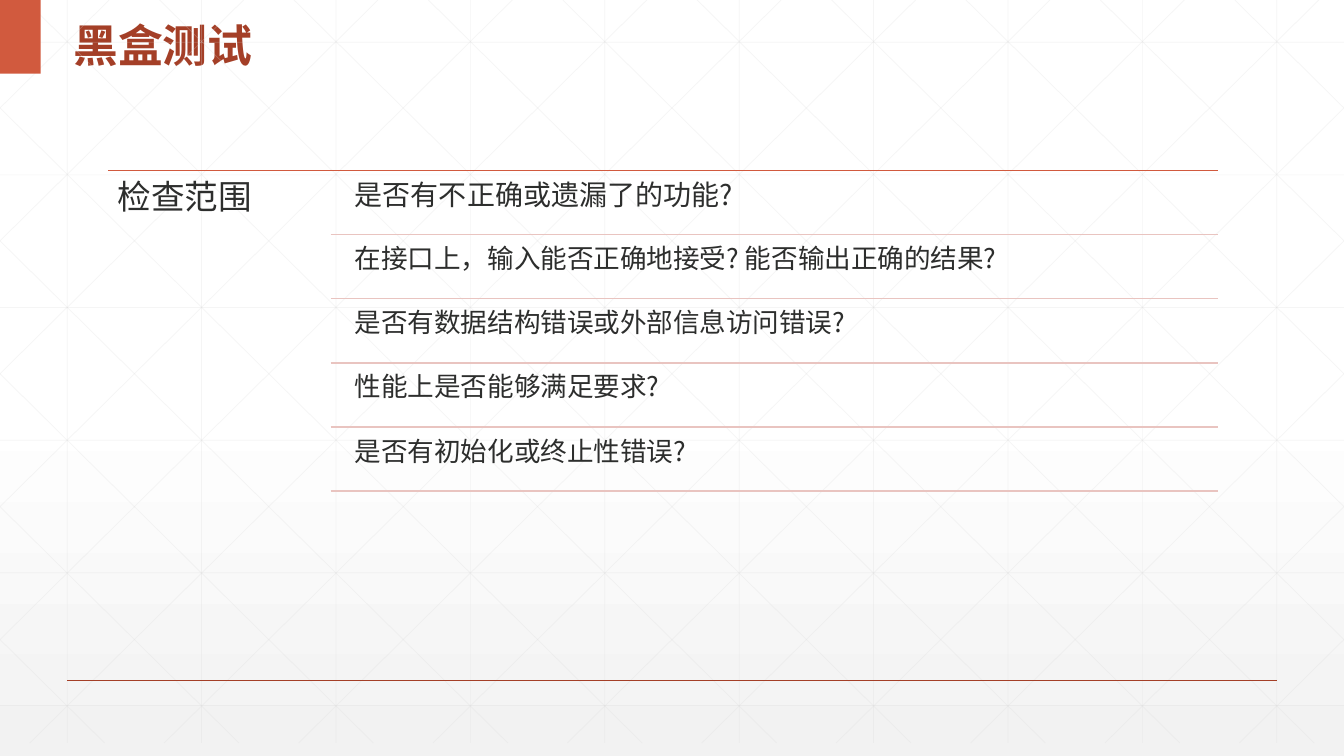
from copy import deepcopy
from dataclasses import dataclass

from lxml.etree import SubElement
from pptx import Presentation
from pptx.dml.color import RGBColor
from pptx.enum.shapes import MSO_CONNECTOR, MSO_SHAPE
from pptx.enum.text import MSO_ANCHOR, MSO_AUTO_SIZE, PP_ALIGN
from pptx.oxml.ns import qn
from pptx.slide import Slide
from pptx.text.text import TextFrame
from pptx.util import Pt


@dataclass(frozen=True)
class Theme:
    accent: str = "D15A3E"
    accent_dark: str = "A43F27"
    row_rule: str = "E9C4C0"
    grid: str = "D9D9D9"
    text: str = "2D2E2D"
    background: tuple = ((0, "FFFFFF"), (0.53, "FFFFFF"), (1, "F2F2F2"))
    latin_font: str = "Arial"
    asian_font: str = "Noto Sans CJK SC"
    title_size: float = 32
    heading_size: float = 24
    first_row_size: float = 20
    row_size: float = 19


@dataclass(frozen=True)
class Line:
    x1: float
    y1: float
    x2: float
    y2: float
    color: str
    width: float = 1
    opacity: int = 100


@dataclass(frozen=True)
class Label:
    text: str
    left: float
    top: float
    width: float
    height: float
    size: float
    font: str
    inset: float


THEME = Theme()
PAGE_WIDTH, PAGE_HEIGHT = 960, 540

# Background pattern
GRID_HEIGHT = 530.7
COLUMN_STEP, ROW_STEP = 96, 94.75
DIAGONAL_RUN = 536.7

# Checklist
LIST_LEFT, LIST_RIGHT, LIST_TOP = 77, 869.8, 121.7
RULE_LEFT, ROW_LEFT = 236.2, 247.7
FIRST_ROW_TOP, ROW_PITCH, RULE_OFFSET = 123.9, 45.8, 43.7
QUESTIONS = (
    "是否有不正确或遗漏了的功能?",
    "在接口上，输入能否正确地接受? 能否输出正确的结果?",
    "是否有数据结构错误或外部信息访问错误?",
    "性能上是否能够满足要求?",
    "是否有初始化或终止性错误?",
)


def paint_background(page: Slide) -> None:
    fill = page.background.fill
    fill.gradient()
    fill.gradient_angle = 270
    stop_list = page.element.xpath(".//a:gsLst")[0]
    stop_list.append(deepcopy(stop_list[0]))
    for stop, (position, color) in zip(fill.gradient_stops, THEME.background):
        stop.position = position
        stop.color.rgb = RGBColor.from_string(color)


def draw_line(page: Slide, line: Line) -> None:
    ends = (Pt(value) for value in (line.x1, line.y1, line.x2, line.y2))
    connector = page.shapes.add_connector(MSO_CONNECTOR.STRAIGHT, *ends)
    connector.line.width = Pt(line.width)
    connector.line.color.rgb = RGBColor.from_string(line.color)
    properties = connector.element.spPr
    if line.opacity < 100:
        color = properties.find(".//" + qn("a:srgbClr"))
        SubElement(color, qn("a:alpha"), val=str(line.opacity * 1000))
    SubElement(properties, qn("a:effectLst"))


def grid_lines() -> list[Line]:
    ends = []
    for column in range(10):
        x = 48 + column * COLUMN_STEP
        ends.append((x, 0, x, GRID_HEIGHT))
    for row in range(6):
        y = 30.2 + row * ROW_STEP
        ends.append((0, y, PAGE_WIDTH, y))
    # Diagonals are cut at the page sides, then mirrored
    slope = GRID_HEIGHT / DIAGONAL_RUN
    for step in range(-5, 10):
        start = 18 + step * COLUMN_STEP
        x1 = max(start, 0)
        x2 = min(start + DIAGONAL_RUN, PAGE_WIDTH)
        y1, y2 = (x1 - start) * slope, (x2 - start) * slope
        ends.append((x1, y1, x2, y2))
        ends.append((PAGE_WIDTH - x1, y1, PAGE_WIDTH - x2, y2))
    return [Line(*end, THEME.grid, 0.5, 25) for end in ends]


def write_text(frame: TextFrame, text: str, frame_format: dict,
               para_format: dict, font_format: dict, color: str) -> None:
    para = frame.paragraphs[0]
    span = para.add_run()
    span.text = text
    for target, values in ((frame, frame_format), (para, para_format),
                           (span.font, font_format)):
        for name, value in values.items():
            setattr(target, name, value)
    span.font.color.rgb = RGBColor.from_string(color)
    SubElement(span.font._element, qn("a:ea"), typeface=THEME.asian_font)


def draw_label(page: Slide, label: Label) -> None:
    box = page.shapes.add_textbox(Pt(label.left), Pt(label.top),
                                  Pt(label.width), Pt(label.height))
    sides = ("left", "top", "right", "bottom")
    frame_format = {f"margin_{side}": Pt(label.inset) for side in sides}
    frame_format |= {"word_wrap": True, "vertical_anchor": MSO_ANCHOR.TOP}
    write_text(box.text_frame, label.text, frame_format,
               {"line_spacing": 0.9},
               {"name": label.font, "size": Pt(label.size)}, THEME.text)


def draw_title(page: Slide) -> None:
    marker = page.shapes.add_shape(MSO_SHAPE.RECTANGLE, 0, 0, Pt(29), Pt(52.6))
    marker.shadow.inherit = False
    marker.fill.solid()
    marker.fill.fore_color.rgb = RGBColor.from_string(THEME.accent)
    marker.line.fill.background()
    title = page.shapes.title
    place = {"left": Pt(45.2), "top": Pt(0), "width": Pt(409.7), "height": Pt(52.6)}
    for name, value in place.items():
        setattr(title, name, value)
    write_text(title.text_frame, "黑盒测试",
               {"word_wrap": True, "vertical_anchor": MSO_ANCHOR.MIDDLE,
                "auto_size": MSO_AUTO_SIZE.NONE},
               {"line_spacing": 1.3, "alignment": PP_ALIGN.LEFT},
               {"name": THEME.latin_font, "size": Pt(THEME.title_size), "bold": True},
               THEME.accent_dark)


def draw_checklist(page: Slide) -> None:
    draw_line(page, Line(LIST_LEFT, LIST_TOP, LIST_RIGHT, LIST_TOP, THEME.accent))
    draw_label(page, Label("检查范围", LIST_LEFT, LIST_TOP, 158.4, 231,
                           THEME.heading_size, THEME.latin_font, 7.2))
    for index, question in enumerate(QUESTIONS):
        top = FIRST_ROW_TOP + index * ROW_PITCH
        size = THEME.row_size if index else THEME.first_row_size
        draw_label(page, Label(question, ROW_LEFT, top, LIST_RIGHT - ROW_LEFT,
                               RULE_OFFSET, size, THEME.asian_font, 5.8))
        rule_y = top + RULE_OFFSET
        draw_line(page, Line(RULE_LEFT, rule_y, LIST_RIGHT, rule_y, THEME.row_rule))


def main() -> None:
    deck = Presentation()
    deck.slide_width, deck.slide_height = Pt(PAGE_WIDTH), Pt(PAGE_HEIGHT)
    page = deck.slides.add_slide(deck.slide_layouts[5])
    paint_background(page)
    for line in grid_lines():
        draw_line(page, line)
    # Footer rule
    draw_line(page, Line(48, 486, 912, 486, THEME.accent_dark))
    draw_title(page)
    draw_checklist(page)
    deck.save("out.pptx")


if __name__ == "__main__":
    main()
